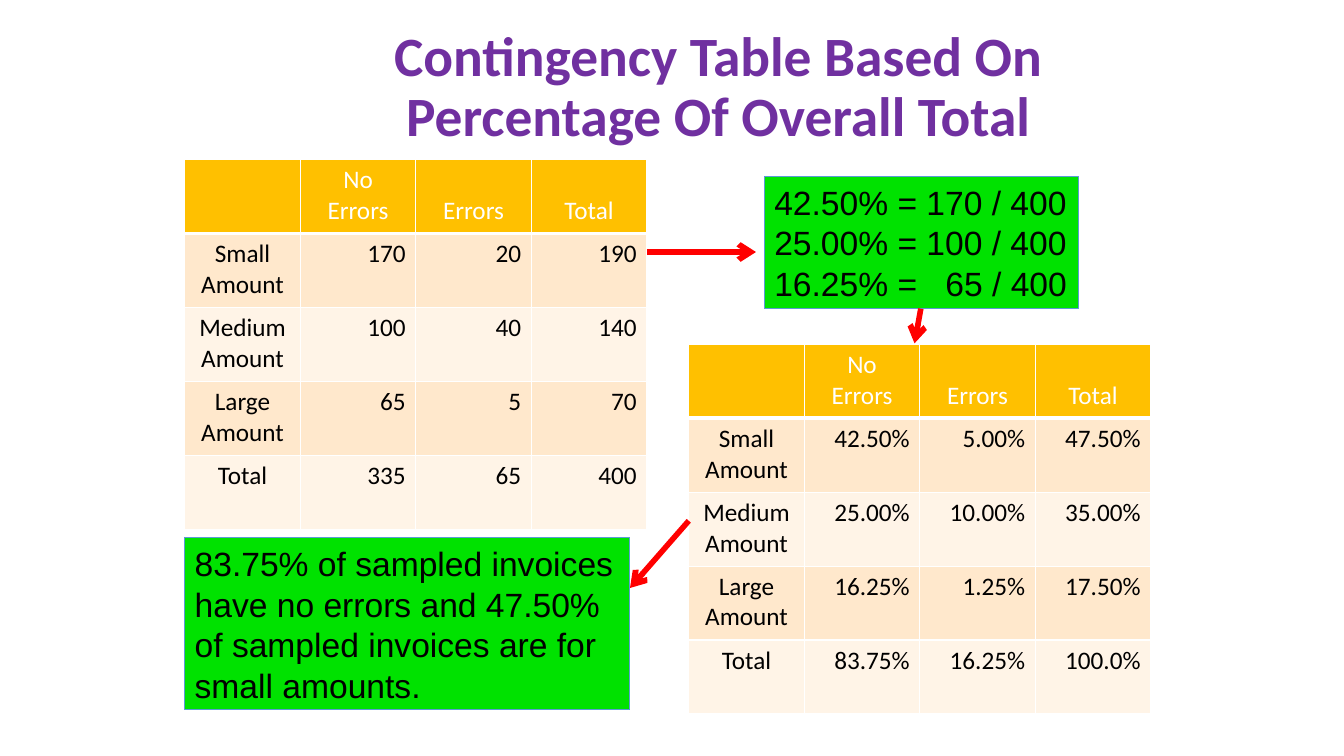
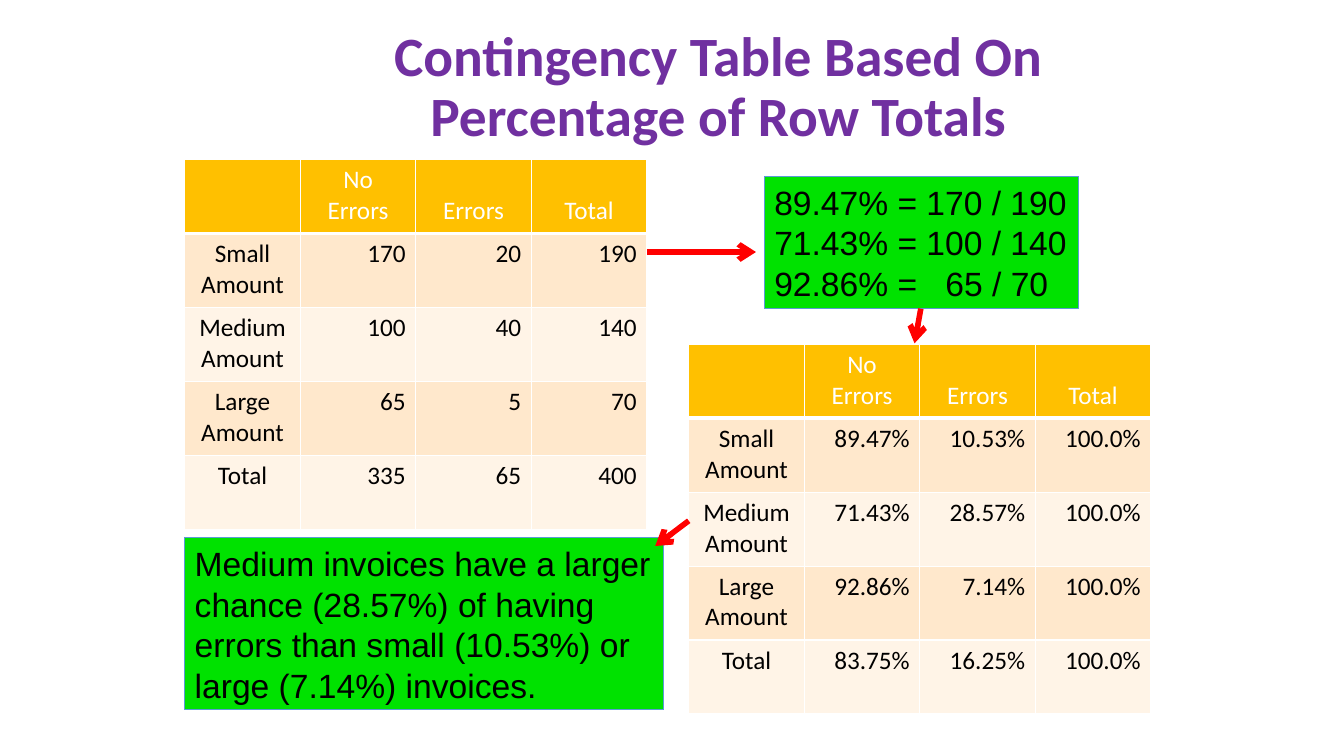
from lxml.etree import SubElement
from pptx import Presentation
from pptx.dml.color import RGBColor
from pptx.enum.shapes import MSO_CONNECTOR, MSO_SHAPE
from pptx.enum.text import MSO_ANCHOR, MSO_AUTO_SIZE, PP_ALIGN
from pptx.oxml.ns import qn
from pptx.util import Emu, Pt

SCALE = 9525  # EMU in one px
TITLE_ONLY = 5
HEADINGS = ["", "No\nErrors", "Errors", "Total"]
ROW_LABELS = ["Small\nAmount", "Medium\nAmount", "Large\nAmount", "Total"]
COUNTS = [[170, 20, 190], [100, 40, 140], [65, 5, 70], [335, 65, 400]]


def px(length):
    return Emu(length * SCALE)


def rgb(hex_code):
    return RGBColor.from_string(hex_code)


def percentage(part, whole):
    share = 100 * part / whole
    return "100.0%" if share == 100 else f"{share:.2f}%"


class Deck:
    """Holds the shared style and the slide being built."""

    PURPLE, RED, GREEN, BLUE = "7030A0", "FF0000", "00E200", "5B9BD5"
    GOLD, BANDS = "FFC000", ("FFE8CC", "FFF4E7")
    WHITE, BLACK = "FFFFFF", "000000"
    TABLE_WIDTH, TABLE_HEIGHT = 440, 352

    def __init__(self):
        self.presentation = Presentation()
        self.presentation.slide_width = px(1280)
        self.presentation.slide_height = px(720)
        self.slide = None

    def add_slide(self, heading):
        layout = self.presentation.slide_layouts[TITLE_ONLY]
        self.slide = self.presentation.slides.add_slide(layout)
        title = self.slide.shapes.title
        title.left, title.top, title.width, title.height = map(px, (248, 32, 872, 104))
        frame = title.text_frame
        frame.text = heading
        frame.word_wrap = True
        frame.auto_size = MSO_AUTO_SIZE.NONE
        frame.vertical_anchor = MSO_ANCHOR.MIDDLE
        self.style(frame, "Calibri", 39.6, self.PURPLE, PP_ALIGN.CENTER, 0.9, bold=True)

    def style(self, frame, font_name, size, color, align, spacing=None, bold=False):
        for paragraph in frame.paragraphs:
            paragraph.alignment = align
            paragraph.line_spacing = spacing
            font = paragraph.font
            font.name, font.size, font.bold = font_name, Pt(size), bold
            font.color.rgb = rgb(color)

    def table(self, left, top, values):
        rows = [HEADINGS] + [[label, *line] for label, line in zip(ROW_LABELS, values)]
        grid = self.slide.shapes.add_table(
            len(rows), len(HEADINGS), px(left), px(top),
            px(self.TABLE_WIDTH), px(self.TABLE_HEIGHT)).table
        for r, row in enumerate(rows):
            for c, text in enumerate(row):
                self.cell(grid.cell(r, c), text, r, c)

    def cell(self, cell, text, r, c):
        header = r == 0
        cell.text = text
        self.borders(cell, bottom=3 if header else 1)
        cell.fill.solid()
        cell.fill.fore_color.rgb = rgb(self.GOLD if header else self.BANDS[(r - 1) % 2])
        if header:
            cell.vertical_anchor = MSO_ANCHOR.BOTTOM
            cell.margin_bottom = px(7)
        align = PP_ALIGN.CENTER if header or c == 0 else PP_ALIGN.RIGHT
        self.style(cell.text_frame, "Calibri", 18,
                   self.WHITE if header else self.BLACK, align)

    def borders(self, cell, bottom):
        properties = cell._tc.get_or_add_tcPr()
        for side, width in (("lnL", 1), ("lnR", 1), ("lnT", 1), ("lnB", bottom)):
            line = SubElement(properties, qn(f"a:{side}"), w=str(Pt(width)))
            fill = SubElement(line, qn("a:solidFill"))
            SubElement(fill, qn("a:srgbClr"), val=self.WHITE)

    def note(self, left, top, width, height, text, wrap=True, tab=None):
        box = self.slide.shapes.add_shape(
            MSO_SHAPE.RECTANGLE, px(left), px(top), px(width), px(height))
        box.shadow.inherit = False
        box.fill.solid()
        box.fill.fore_color.rgb = rgb(self.GREEN)
        box.line.color.rgb = rgb(self.BLUE)
        box.line.width = Pt(0.75)
        frame = box.text_frame
        frame.text = text
        frame.word_wrap = wrap
        frame.vertical_anchor = MSO_ANCHOR.TOP
        if tab:
            for paragraph in frame.paragraphs:
                stops = SubElement(paragraph._p.get_or_add_pPr(), qn("a:tabLst"))
                SubElement(stops, qn("a:tab"), pos=str(px(tab)), algn="l")
        self.style(frame, "Arial", 24, self.BLACK, PP_ALIGN.LEFT, Pt(29))

    def arrow(self, start, end):
        connector = self.slide.shapes.add_connector(
            MSO_CONNECTOR.STRAIGHT, *map(px, (*start, *end)))
        connector.line.color.rgb = rgb(self.RED)
        connector.line.width = Pt(4)
        SubElement(connector.line._get_or_add_ln(), qn("a:tailEnd"), type="arrow")
        SubElement(connector._element.spPr, qn("a:effectLst"))

    def contingency_slide(self, heading, bases, formulas, finding, finding_width, tip):
        """Show the counts, their share of each row's base, and what follows."""
        self.add_slide(heading)
        shares = [[percentage(count, base) for count in line]
                  for line, base in zip(COUNTS, bases)]
        self.table(176, 152, [map(str, line) for line in COUNTS])
        self.table(656, 328, shares)
        self.note(728, 168, 299, 126, formulas, wrap=False, tab=163)
        self.arrow((616, 240), (720, 240))
        self.arrow((877, 294), (871, 327))
        self.note(176, 512, finding_width, 164, finding)
        self.arrow((656, 496), tip)


def main():
    deck = Deck()
    row_totals = [line[-1] for line in COUNTS]
    overall_total = row_totals[-1]
    deck.contingency_slide(
        "Contingency Table Based On Percentage Of Overall Total",
        [overall_total] * len(COUNTS),
        "42.50% = 170 / 400\n25.00% = 100 / 400\n16.25% =\t65 / 400",
        "83.75% of sampled invoices have no errors and 47.50% of sampled "
        "invoices are for small amounts.",
        424, (600, 560))
    deck.contingency_slide(
        "Contingency Table Based On Percentage of Row Totals",
        row_totals,
        "89.47% = 170 / 190\n71.43% = 100 / 140\n92.86% =\t65 / 70",
        "Medium invoices have a larger chance (28.57%) of having errors than "
        "small (10.53%) or large (7.14%) invoices.",
        456, (624, 520))
    deck.presentation.save("out.pptx")


if __name__ == "__main__":
    main()
